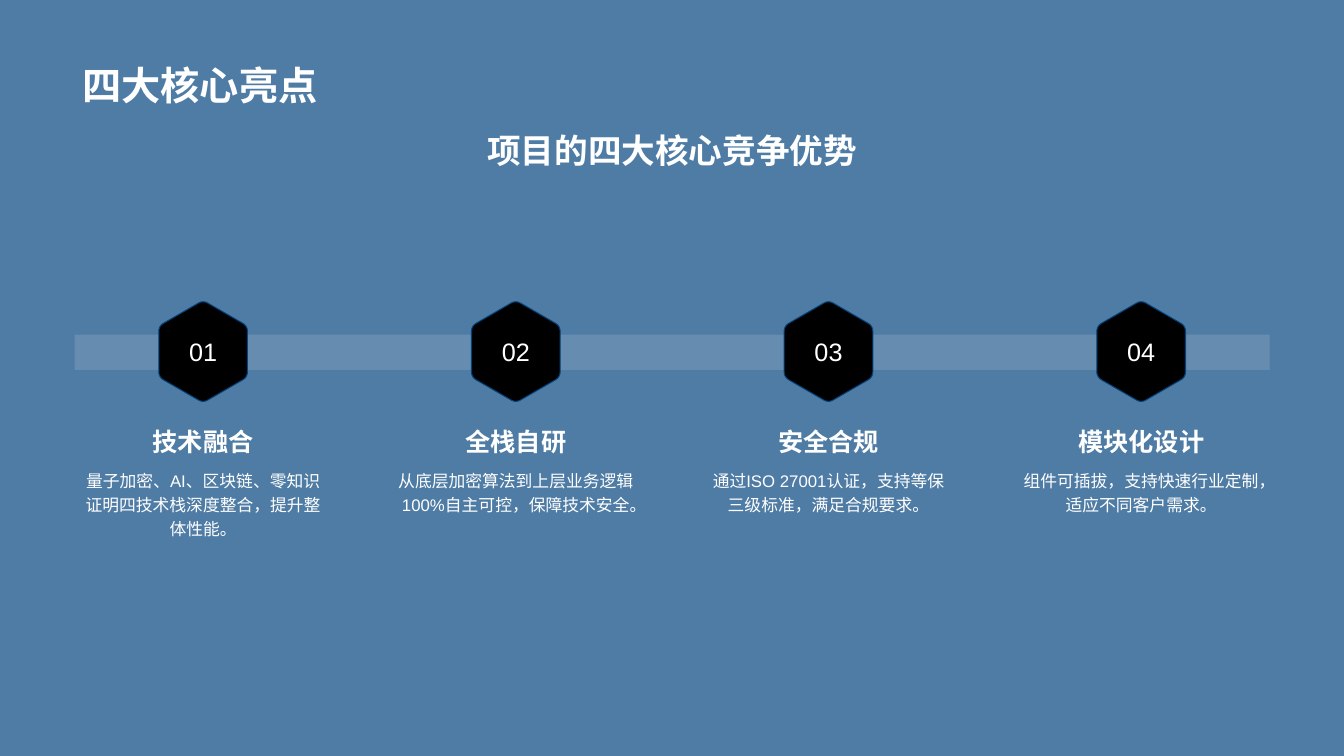
import math

from lxml import etree
from pptx import Presentation, util as u
from pptx.dml import color as clr
from pptx.enum import shapes, text
from pptx.oxml import ns

WHITE = "FFFFFF"
NAVY = "03447E"
MID = text.PP_ALIGN.CENTER
TOP = text.MSO_ANCHOR.TOP
LOW = text.MSO_ANCHOR.BOTTOM

STEPS = [
    ("技术融合", "量子加密、AI、区块链、零知识证明四技术栈深度整合，提升整体性能。"),
    ("全栈自研", "从底层加密算法到上层业务逻辑100%自主可控，保障技术安全。"),
    ("安全合规", "通过ISO 27001认证，支持等保三级标准，满足合规要求。"),
    ("模块化设计", "组件可插拔，支持快速行业定制，适应不同客户需求。"),
]


def rgb(code):
    return clr.RGBColor.from_string(code)


def round_hex(x, y, radius=1.29, cut=0.14, parts=6):
    """Points of a pointy-top hexagon whose corners are quadratic curves."""
    ends = [(x + radius * math.sin(k * math.pi / 3),
             y - radius * math.cos(k * math.pi / 3)) for k in range(6)]
    dots = []
    for k, tip in enumerate(ends):
        # each side is as long as the radius
        near, far = ([a + (b - a) * cut / radius for a, b in zip(tip, end)]
                     for end in (ends[k - 1], ends[(k + 1) % 6]))
        for t in (n / parts for n in range(parts + 1)):
            dots.append(tuple(
                u.Cm((1 - t) ** 2 * a + 2 * t * (1 - t) * b + t * t * c)
                for a, b, c in zip(near, tip, far)))
    return dots


class Deck:
    def __init__(self):
        self.prs = Presentation()
        self.prs.slide_width = u.Cm(33.87)
        self.prs.slide_height = u.Cm(19.05)
        self.slide = self.prs.slides.add_slide(self.prs.slide_layouts[6])
        self.face = "Arial"

    def back(self, code):
        fill = self.slide.background.fill
        fill.solid()
        fill.fore_color.rgb = rgb(code)

    def fill_text(self, frame, words, size, bold=False, align=MID, space=1.0,
                  **form):
        for key, val in form.items():
            setattr(frame, key, val)
        para = frame.paragraphs[0]
        para.alignment = align
        para.line_spacing = space
        run = para.add_run()
        run.text = words
        style = {"name": self.face, "size": u.Pt(size), "bold": bold}
        for key, val in style.items():
            setattr(run.font, key, val)
        run.font.color.rgb = rgb(WHITE)

    def label(self, box, words, size, anchor=TOP, **style):
        shape = self.slide.shapes.add_textbox(*map(u.Cm, box))
        self.fill_text(shape.text_frame, words, size, word_wrap=True,
                       vertical_anchor=anchor, **style)

    def paint(self, shape, code):
        shape.shadow.inherit = False
        shape.fill.solid()
        shape.fill.fore_color.rgb = rgb(code)

    def band(self, box, code, alpha):
        """Bar without outline; alpha is its opacity in percent."""
        bar = self.slide.shapes.add_shape(
            shapes.MSO_SHAPE.RECTANGLE, *map(u.Cm, box))
        self.paint(bar, code)
        bar.line.fill.background()
        tint = bar.element.spPr.find(ns.qn("a:solidFill"))[0]
        etree.SubElement(tint, ns.qn("a:alpha"), val=str(alpha * 1000))

    def badge(self, x, y, words):
        dots = round_hex(x, y)
        form = self.slide.shapes.build_freeform(*dots[0])
        form.add_line_segments(dots[1:], close=True)
        shape = form.convert_to_shape()
        self.paint(shape, "000000")
        shape.line.color.rgb = rgb(NAVY)
        shape.line.width = 0
        self.fill_text(shape.text_frame, words, 18, word_wrap=False,
                       vertical_anchor=text.MSO_ANCHOR.MIDDLE)


def main():
    deck = Deck()
    deck.back("4F7CA5")
    deck.label((1.83, 0.36, 30.18, 2.49), "四大核心亮点", 28, LOW,
               bold=True, align=text.PP_ALIGN.LEFT)
    deck.label((1.88, 3.15, 30.12, 4.19), "项目的四大核心竞争优势", 24, bold=True)
    deck.band((1.88, 8.43, 30.12, 0.89), "F0F0F0", 15)

    wide, first, pitch = 6.48, 5.12, 7.88
    for k, (head, body) in enumerate(STEPS):
        x = first + k * pitch
        left = x - wide / 2
        deck.badge(x, 8.86, f"{k + 1:02}")
        deck.label((left, 10.11, wide, 1.52), head, 18, LOW, bold=True)
        deck.label((left, 11.63, wide, 5.41), body, 12, space=1.2)
    deck.prs.save("out.pptx")


if __name__ == "__main__":
    main()
